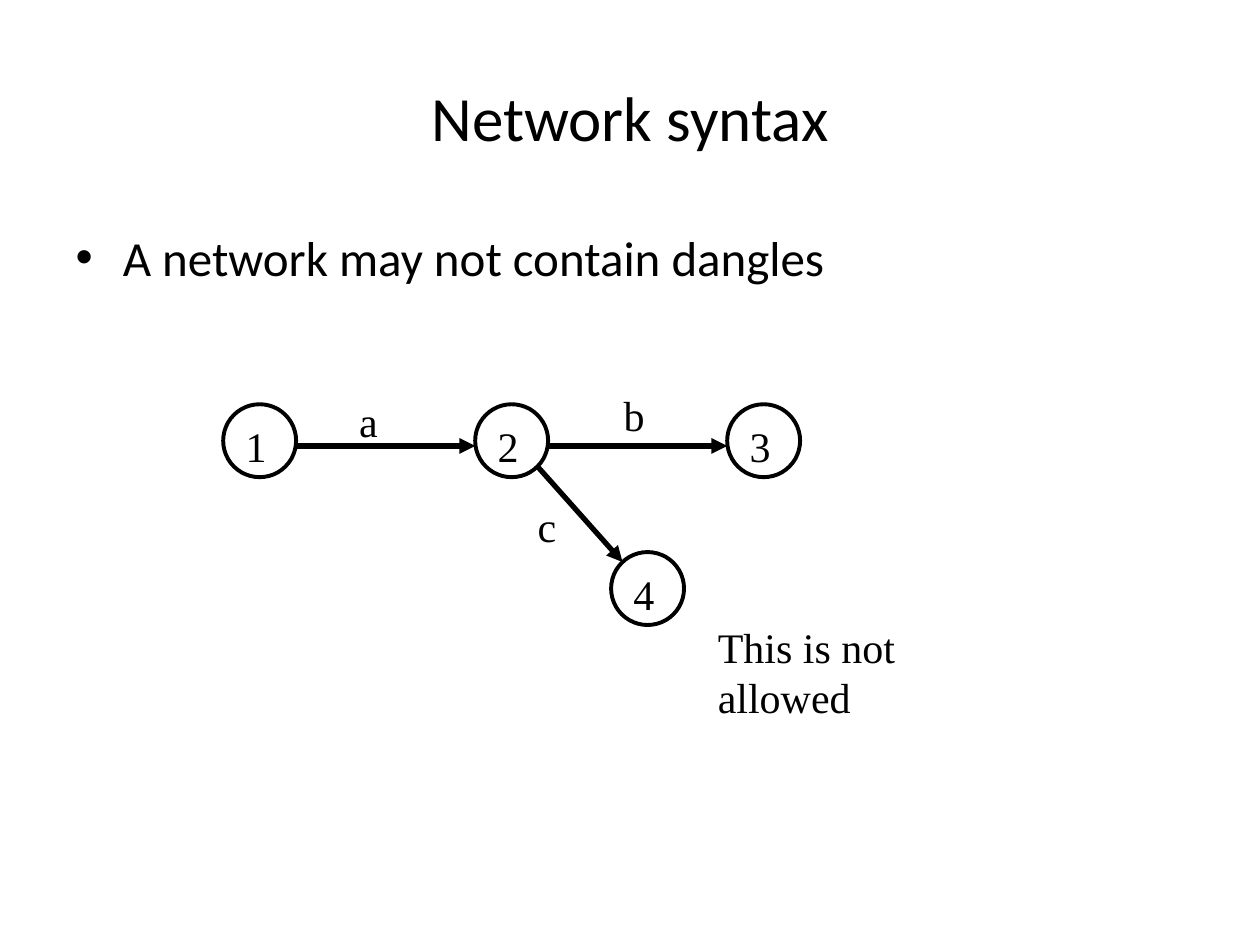
"""Build the slide on network syntax with its small node-and-arrow diagram."""
from lxml import etree
from pptx import Presentation
from pptx.dml.color import RGBColor
from pptx.enum.shapes import MSO_CONNECTOR, MSO_SHAPE
from pptx.enum.text import MSO_ANCHOR, MSO_AUTO_SIZE, PP_ALIGN
from pptx.oxml.ns import qn
from pptx.util import Cm, Pt

OVAL = MSO_SHAPE.OVAL
STRAIGHT = MSO_CONNECTOR.STRAIGHT
MIDDLE = MSO_ANCHOR.MIDDLE
FIT_SHAPE = MSO_AUTO_SIZE.SHAPE_TO_FIT_TEXT
LEFT, CENTER = PP_ALIGN.LEFT, PP_ALIGN.CENTER

COLORS = {"ink": "000000"}
NODE_SIZE = 1.47
LABEL_INSET = 0.2
LABEL_HEIGHT = 1.27


def write(frame, text, font="Times New Roman", size=24, align=LEFT):
    para = frame.paragraphs[0]
    para.alignment = align
    span = para.add_run()
    span.text = text
    span.font.name = font
    span.font.size = Pt(size)
    span.font.color.rgb = RGBColor.from_string(COLORS["ink"])


deck = Presentation()
deck.slide_width, deck.slide_height = Cm(25.4), Cm(19.05)
page = deck.slides.add_slide(deck.slide_layouts[1])

title, body = page.placeholders
title.left, title.top, title.width, title.height = Cm(1.27), Cm(0.76), Cm(22.86), Cm(3.18)
title.text_frame.vertical_anchor = MIDDLE
write(title.text_frame, "Network syntax", font="Calibri", size=36, align=CENTER)

body.left, body.top, body.width, body.height = Cm(1.27), Cm(4.45), Cm(22.86), Cm(12.57)
write(body.text_frame, "A network may not contain dangles", font="Calibri", size=28)

diagram = page.shapes.add_group_shape()

nodes = [("1", 4.5, 8.15), ("2", 9.58, 8.15), ("3", 14.66, 8.15), ("4", 12.32, 11.13)]
for name, left, top in nodes:
    circle = diagram.shapes.add_shape(OVAL, Cm(left), Cm(top), Cm(NODE_SIZE), Cm(NODE_SIZE))
    circle.shadow.inherit = False
    circle.fill.background()
    circle.line.color.rgb = RGBColor.from_string(COLORS["ink"])
    circle.line.width = Pt(2.25)

arrows = [
    (5.97, 8.99, 9.58, 8.99),
    (11.05, 8.99, 14.66, 8.99),
    (10.85, 9.42, 12.55, 11.33),
]
for ends in arrows:
    arrow = diagram.shapes.add_connector(STRAIGHT, *map(Cm, ends))
    arrow.line.color.rgb = RGBColor.from_string(COLORS["ink"])
    arrow.line.width = Pt(3)
    etree.SubElement(arrow.line._get_or_add_ln(), qn("a:tailEnd"), type="triangle")
    etree.SubElement(arrow._element.spPr, qn("a:effectLst"))

labels = [(name, left + LABEL_INSET, top + LABEL_INSET, 0.94) for name, left, top in nodes]
labels += [
    ("This is not allowed", 14.22, 12.4, 6.96),
    ("a", 6.99, 7.85, 0.89),
    ("b", 12.32, 7.72, 0.94),
    ("c", 10.59, 9.96, 0.89),
]
for text, left, top, width in labels:
    box = diagram.shapes.add_textbox(Cm(left), Cm(top), Cm(width), Cm(LABEL_HEIGHT))
    box.text_frame.word_wrap = False
    box.text_frame.auto_size = FIT_SHAPE
    write(box.text_frame, text)

deck.save("out.pptx")
